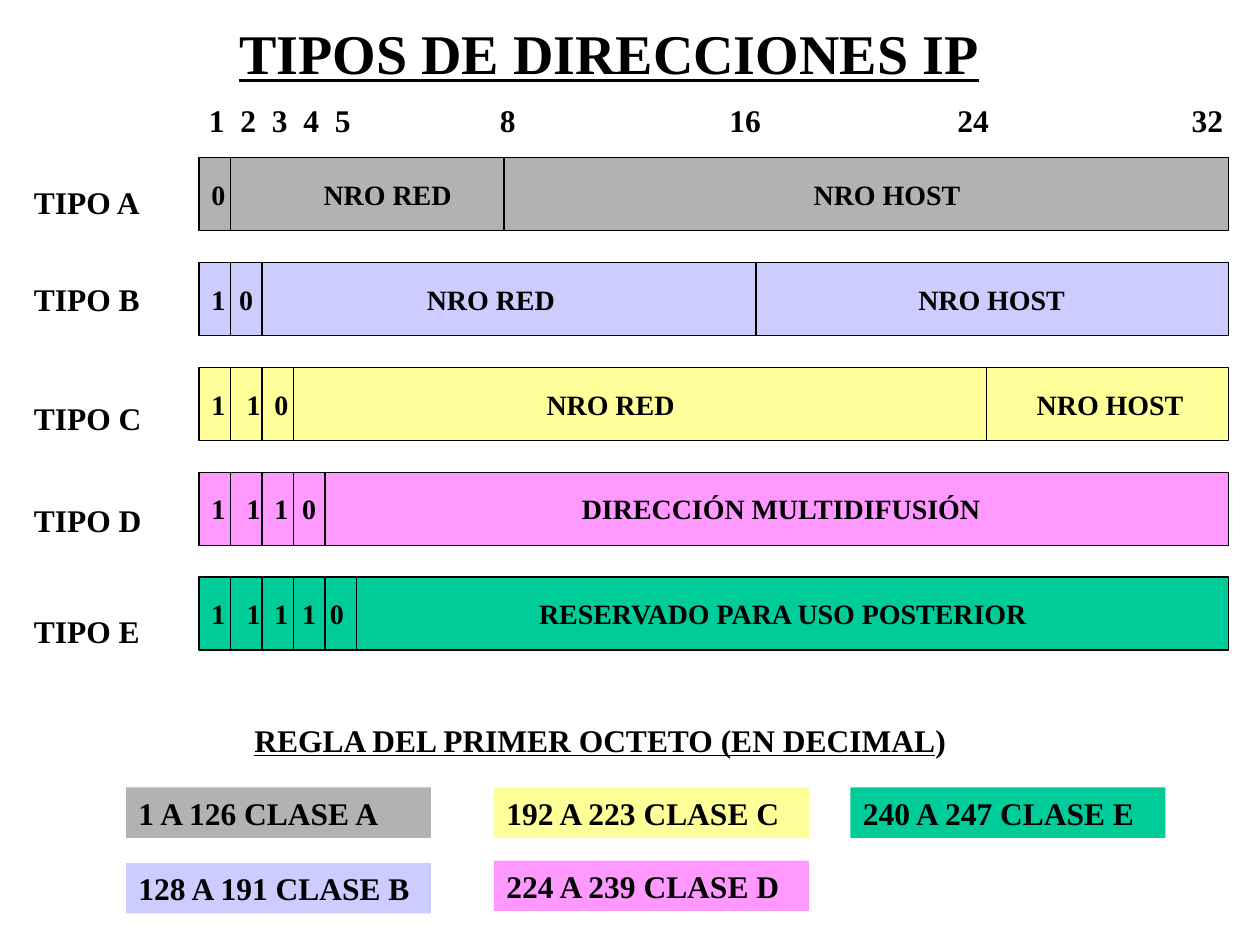
import pptx
import pptx.util
import pptx.dml.color
import pptx.enum.shapes
import pptx.enum.text
import pptx.oxml.ns
import lxml.etree

Inches = pptx.util.Inches
Pt = pptx.util.Pt
RGBColor = pptx.dml.color.RGBColor
Align = pptx.enum.text.PP_ALIGN
Anchor = pptx.enum.text.MSO_ANCHOR
Kind = pptx.enum.shapes.MSO_SHAPE
qn = pptx.oxml.ns.qn

FONT = "Times New Roman"
BLACK = RGBColor(0x00, 0x00, 0x00)
GRAY = RGBColor(0xB2, 0xB2, 0xB2)
LILAC = RGBColor(0xCC, 0xCC, 0xFF)
YELLOW = RGBColor(0xFF, 0xFF, 0x99)
PINK = RGBColor(0xFF, 0x99, 0xFF)
GREEN = RGBColor(0x00, 0xCC, 0x99)

BARS = [
    (GRAY, "0\tNRO RED\tNRO HOST", [0.89, 4.78], 1, 2.42),
    (LILAC, "1\t0\tNRO RED\tNRO HOST", [0.22, 1.71, 5.61], 2, 4.42),
    (YELLOW, "1\t1\t0\tNRO RED\tNRO HOST", [0.28, 0.5, 2.66, 6.55], 3, 6.25),
    (PINK, "1\t1\t1\t0\tDIRECCIÓN MULTIDIFUSIÓN", [0.28, 0.5, 0.72, 2.94], 4, None),
    (GREEN, "1\t1\t1\t1\t0\tRESERVADO PARA USO POSTERIOR",
     [0.28, 0.5, 0.72, 0.94, 2.6], 5, None),
]
RULES = [
    (GRAY, "1 A 126 CLASE A", 0, 0, 2.42),
    (LILAC, "128 A 191 CLASE B", 0, 0.6, 2.42),
    (YELLOW, "192 A 223 CLASE C", 2.92, 0, 2.5),
    (PINK, "224 A 239 CLASE D", 2.92, 0.58, 2.5),
    (GREEN, "240 A 247 CLASE E", 5.75, 0, 2.5),
]


def write(frame, text, size=18, under=False, tail="", tabs=(), gaps=(),
          align=Align.LEFT, anchor=Anchor.TOP):
    """Fill a text frame with one bold paragraph per line of text."""
    frame.word_wrap = True
    frame.vertical_anchor = anchor
    for i, line in enumerate(text.split("\n")):
        para = frame.add_paragraph() if i else frame.paragraphs[0]
        para.alignment = align
        if i and gaps:
            para.space_before = Pt(gaps[i - 1])
        if tabs:
            stops = lxml.etree.SubElement(para._p.get_or_add_pPr(), qn("a:tabLst"))
            for tab in tabs:
                lxml.etree.SubElement(stops, qn("a:tab"), pos=str(Inches(tab)), algn="l")
        for part, mark in ((line, under), (tail, False)):
            if part:
                run = para.add_run()
                run.text = part
                font = run.font
                font.name, font.size, font.bold = FONT, Pt(size), True
                font.underline = mark
                font.color.rgb = BLACK


def label(slide, x, y, w, h, text, **form):
    """Place a plain text box."""
    box = slide.shapes.add_textbox(Inches(x), Inches(y), Inches(w), Inches(h))
    write(box.text_frame, text, **form)


def block(slide, x, y, w, h, fill, text, edge=False, **form):
    """Place a filled rectangle with text."""
    rect = slide.shapes.add_shape(Kind.RECTANGLE, Inches(x), Inches(y), Inches(w), Inches(h))
    rect.shadow.inherit = False
    rect.fill.solid()
    rect.fill.fore_color.rgb = fill
    if edge:
        rect.line.color.rgb = BLACK
        rect.line.width = Pt(0.75)
    else:
        rect.line.fill.background()
    write(rect.text_frame, text, **form)


def split(slide, x, y, h):
    """Draw an upright line between two fields."""
    line = slide.shapes.add_connector(
        pptx.enum.shapes.MSO_CONNECTOR.STRAIGHT,
        Inches(x), Inches(y), Inches(x), Inches(y + h))
    line.line.color.rgb = BLACK
    line.line.width = Pt(0.75)
    lxml.etree.SubElement(line._element.spPr, qn("a:effectLst"))


def head(slide, x, y, w, h):
    """Place the slide title."""
    title = slide.shapes.title
    title.left, title.top = Inches(x), Inches(y)
    title.width, title.height = Inches(w), Inches(h)
    write(title.text_frame, "TIPOS DE DIRECCIONES IP", size=32, under=True,
          align=Align.CENTER, anchor=Anchor.MIDDLE)


def scale(slide, x, y, w, h):
    """Place the bit numbers above the bars."""
    tabs = [0.06 + 0.25 * i for i in range(5)] + [2.37, 4.19, 6, 7.86]
    label(slide, x, y, w, h, "\t1\t2\t3\t4\t5\t8\t16\t24\t32", tabs=tabs)


def names(slide, x, y, w, h):
    """Place the type names beside the bars."""
    text = "\n".join("TIPO " + mark for mark in "ABCDE")
    label(slide, x, y, w, h, text, gaps=[34.2, 46.2, 37, 41.6])


def chart(slide, x, y, w, h):
    """Place the five address bars with their field lines."""
    tall = 0.58
    step = (h - tall) / (len(BARS) - 1)
    for i, (fill, text, tabs, bits, host) in enumerate(BARS):
        top = y + i * step
        block(slide, x, top, w, tall, fill, text, edge=True, size=16,
              tabs=tabs, anchor=Anchor.MIDDLE)
        cuts = [0.25 * (n + 1) for n in range(bits)]
        if host:
            cuts.append(host)
        for cut in cuts:
            split(slide, x + cut, top, tall)


def rules(slide, x, y):
    """Place the first octet rule and its class ranges."""
    label(slide, x + 0.92, y, 5.75, 0.4, "REGLA DEL PRIMER OCTETO (EN DECIMAL",
          under=True, tail=")")
    for fill, text, left, top, wide in RULES:
        block(slide, x + left, y + 0.58 + top, wide, 0.4, fill, text)


def main():
    """Build and save the slide."""
    deck = pptx.Presentation()
    deck.slide_width, deck.slide_height = Inches(10), Inches(7.5)
    slide = deck.slides.add_slide(deck.slide_layouts[5])
    head(slide, 1.75, 0.08, 6.17, 0.67)
    chart(slide, 1.58, 1.25, 8.17, 3.91)
    scale(slide, 1.5, 0.75, 8.5, 0.4)
    names(slide, 0.17, 1.4, 1.25, 4.21)
    rules(slide, 1, 5.67)
    deck.save("out.pptx")


if __name__ == "__main__":
    main()
